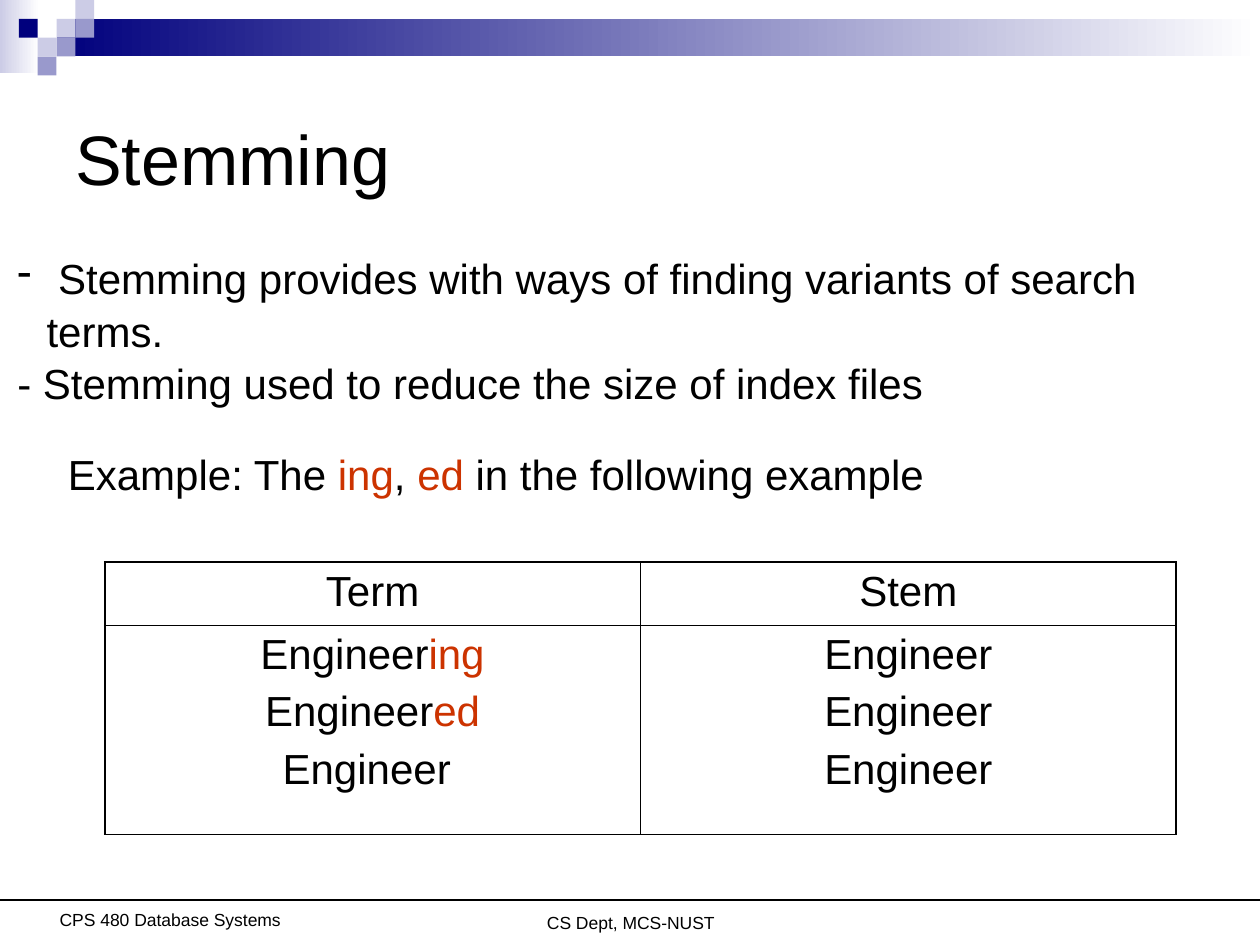
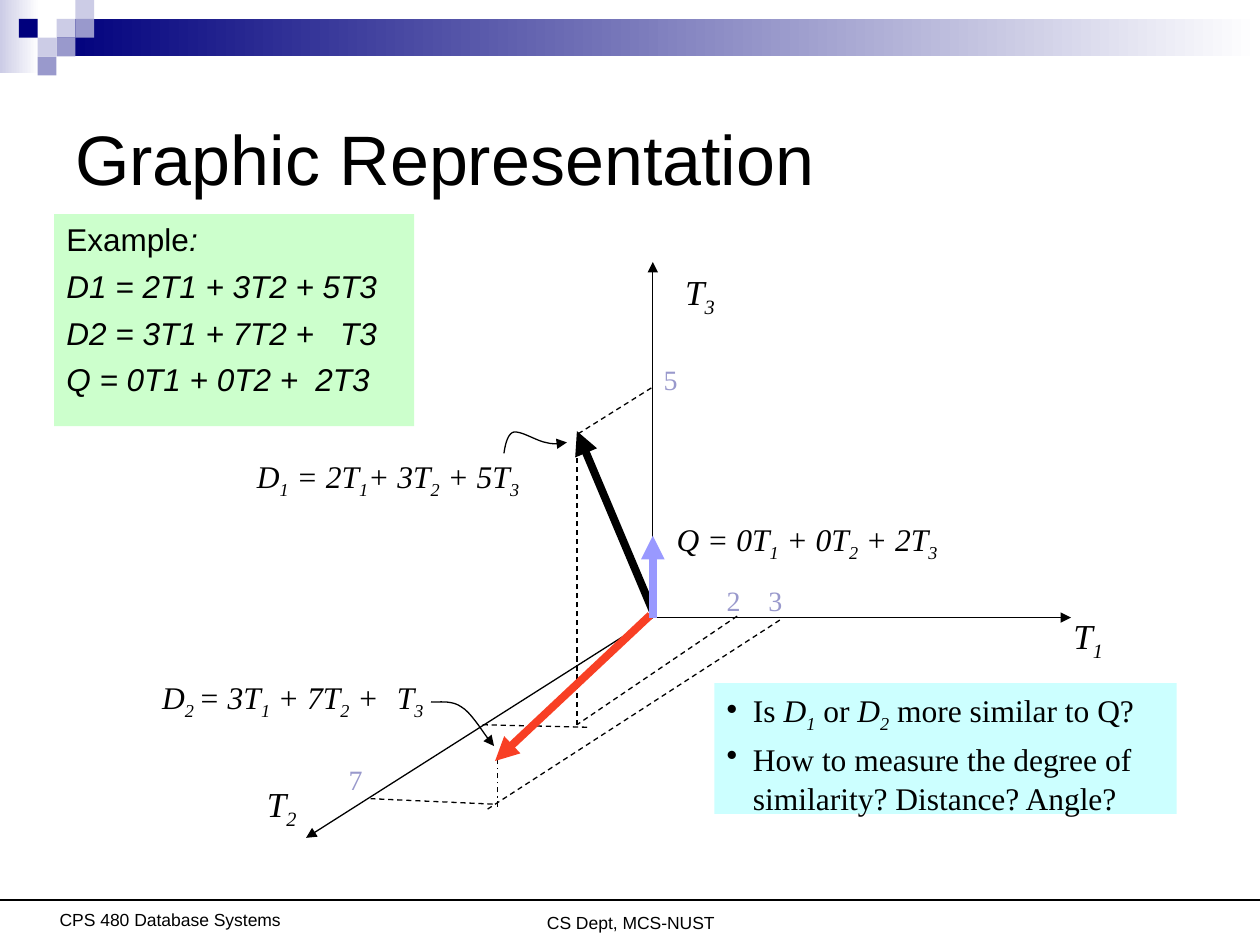
from dataclasses import dataclass

from lxml.etree import SubElement
from pptx import Presentation
from pptx.dml.color import RGBColor
from pptx.enum.dml import MSO_LINE_DASH_STYLE as Dash
from pptx.enum.shapes import MSO_CONNECTOR, MSO_SHAPE
from pptx.enum.text import MSO_ANCHOR as Anchor, PP_ALIGN as Align
from pptx.oxml.ns import qn
from pptx.util import Cm, Pt


@dataclass(frozen=True)
class Theme:
    black: str = "000000"
    white: str = "FFFFFF"
    navy: str = "00007D"
    lilac: str = "9999CC"
    pale: str = "CCCCE6"
    accent: str = "CC3300"
    red: str = "F83F24"
    violet: str = "9999FF"
    mint: str = "CCFFCC"
    aqua: str = "CCFFFF"
    sans: str = "Arial"
    serif: str = "Times New Roman"
    title: int = 40
    body: int = 24
    axis: int = 20
    formula: int = 18
    tick: int = 16
    footer: int = 10
    thin: float = 0.75
    thick: float = 4.5
    outer_border: float = 1.08
    inner_border: float = 0.45


THEME = Theme()
WIDTH, HEIGHT = 25.4, 19.05
TILE = 0.38
TILES = [(3, 1, THEME.pale), (4, 0, THEME.pale), (4, 1, THEME.lilac),
         (2, 2, THEME.pale), (1, 1, THEME.navy), (3, 2, THEME.lilac),
         (2, 3, THEME.lilac)]
MARKS = "_*^"


def rgb(color):
    return RGBColor.from_string(color)


def marked_runs(text):
    """Split text at toggles: _subscript_, *italic*, ^accent^."""
    active, chunk = set(), ""
    for char in text:
        if char not in MARKS:
            chunk += char
            continue
        if chunk:
            yield chunk, frozenset(active)
        chunk = ""
        active ^= {char}
    if chunk:
        yield chunk, frozenset(active)


def bezier(start, *curves, steps=10):
    """Points along a chain of cubic curves, each (control, control, end)."""
    points = [start]
    for a, b, end in curves:
        origin = points[-1]
        for step in range(1, steps + 1):
            t = step / steps
            weights = ((1 - t) ** 3, 3 * t * (1 - t) ** 2, 3 * t * t * (1 - t), t ** 3)
            points.append(tuple(sum(w * p[i] for w, p in zip(weights, (origin, a, b, end)))
                                for i in (0, 1)))
    return points


class Deck:
    def __init__(self, theme):
        self.theme = theme
        self.prs = Presentation()
        self.prs.slide_width, self.prs.slide_height = Cm(WIDTH), Cm(HEIGHT)

    def new_slide(self, title):
        theme = self.theme
        self.slide = self.prs.slides.add_slide(self.prs.slide_layouts[6])
        self.rect(0, 0, 0.79, 1.47, theme.pale, theme.white)
        self.rect(3 * TILE, TILE, WIDTH - 3 * TILE, 2 * TILE, theme.navy, theme.white)
        for column, row, color in TILES:
            self.rect(column * TILE, row * TILE, TILE, TILE, color)
        footer = dict(size=theme.footer, align=Align.CENTER)
        self.text(7.42, 18.26, 10.59, 0.66, ["CS Dept, MCS-NUST"], **footer)
        self.text(0.89, 18.21, 5.08, 0.66, ["CPS 480 Database Systems"], **footer)
        self.line((0, 18.14), (WIDTH, 18.14))
        self.text(1.27, 1.27, 22.86, 3.81, [title], anchor=Anchor.MIDDLE, size=theme.title)

    def rect(self, x, y, w, h, color, fade_to=None):
        shape = self.slide.shapes.add_shape(MSO_SHAPE.RECTANGLE, Cm(x), Cm(y), Cm(w), Cm(h))
        shape.shadow.inherit = False
        shape.line.fill.background()
        if fade_to:
            shape.fill.gradient()
            shape.fill.gradient_angle = 0
            for stop, stop_color in zip(shape.fill.gradient_stops, (color, fade_to)):
                stop.color.rgb = rgb(stop_color)
        else:
            shape.fill.solid()
            shape.fill.fore_color.rgb = rgb(color)
        return shape

    def text(self, x, y, w, h, lines, anchor=Anchor.TOP, **style):
        box = self.slide.shapes.add_textbox(Cm(x), Cm(y), Cm(w), Cm(h))
        self.fill_text(box.text_frame, lines, anchor, **style)

    def panel(self, x, y, w, h, color, lines, **style):
        self.fill_text(self.rect(x, y, w, h, color).text_frame, lines, **style)

    def fill_text(self, frame, lines, anchor=Anchor.TOP, size=None, font=None, color=None,
                  italic=False, align=Align.LEFT, gap=0, spacing=1.0, bullets=(), indent=0,
                  tabs=()):
        """Fill a frame; bullets and tabs hold one entry per line, None for none."""
        theme = self.theme
        frame.word_wrap = True
        frame.vertical_anchor = anchor
        for index, line in enumerate(lines):
            paragraph = frame.paragraphs[0] if index == 0 else frame.add_paragraph()
            layout = dict(alignment=align, line_spacing=spacing,
                          space_before=Pt(gap if index else 0))
            for name, value in layout.items():
                setattr(paragraph, name, value)
            props = paragraph._p.get_or_add_pPr()
            if index < len(bullets) and bullets[index]:
                props.set("marL", str(Cm(indent)))
                props.set("indent", str(-Cm(indent)))
                SubElement(props, qn("a:buChar"), char=bullets[index])
            if index < len(tabs) and tabs[index]:
                stops = SubElement(props, qn("a:tabLst"))
                SubElement(stops, qn("a:tab"), pos=str(Cm(tabs[index])), algn="l")
            for chunk, marks in marked_runs(line):
                run = paragraph.add_run()
                run.text = chunk
                look = dict(name=font or theme.sans, size=Pt(size or theme.body),
                            italic=italic or "*" in marks)
                for name, value in look.items():
                    setattr(run.font, name, value)
                run.font.color.rgb = rgb(theme.accent if "^" in marks else color or theme.black)
                if "_" in marks:
                    run._r.get_or_add_rPr().set("baseline", "-25000")

    def stroke(self, line, color, width, dash, arrow):
        line.color.rgb = rgb(color or self.theme.black)
        line.width = Pt(width or self.theme.thin)
        if dash:
            line.dash_style = dash
        if arrow:
            SubElement(line._get_or_add_ln(), qn("a:tailEnd"), type="triangle")

    def line(self, start, end, color=None, width=None, dash=None, arrow=False):
        connector = self.slide.shapes.add_connector(
            MSO_CONNECTOR.STRAIGHT, *(Cm(v) for v in (*start, *end)))
        self.stroke(connector.line, color, width, dash, arrow)
        SubElement(connector._element.spPr, qn("a:effectLst"))

    def curved_arrow(self, points):
        first, *rest = [(Cm(x), Cm(y)) for x, y in points]
        builder = self.slide.shapes.build_freeform(*first)
        builder.add_line_segments(rest, close=False)
        curve = builder.convert_to_shape()
        curve.shadow.inherit = False
        curve.fill.background()
        self.stroke(curve.line, None, None, None, True)

    def table(self, x, y, column_widths, row_heights, cells):
        table = self.slide.shapes.add_table(
            len(row_heights), len(column_widths), Cm(x), Cm(y),
            Cm(sum(column_widths)), Cm(sum(row_heights))).table
        table.first_row = table.horz_banding = False
        for column, width in zip(table.columns, column_widths):
            column.width = Cm(width)
        last_row, last_column = len(row_heights) - 1, len(column_widths) - 1
        for r, height in enumerate(row_heights):
            table.rows[r].height = Cm(height)
            for c, lines in enumerate(cells[r]):
                cell = table.cell(r, c)
                self.fill_text(cell.text_frame, lines, align=Align.CENTER, gap=6)
                self.borders(cell, dict(lnL=c == 0, lnR=c == last_column,
                                        lnT=r == 0, lnB=r == last_row))
                cell.fill.background()

    def borders(self, cell, sides):
        """Draw each side of a cell, heavier where the side is on the outside."""
        theme = self.theme
        props = cell._tc.get_or_add_tcPr()
        for side, outer in sides.items():
            width = Pt(theme.outer_border if outer else theme.inner_border)
            edge = SubElement(props, qn(f"a:{side}"), w=str(width))
            fill = SubElement(edge, qn("a:solidFill"))
            SubElement(fill, qn("a:srgbClr"), val=theme.black)


def stemming(deck):
    deck.new_slide("Stemming")
    deck.table(2.11, 11.33, [10.8, 10.8], [1.27, 4.22], [
        [["Term"], ["Stem"]],
        [["Engineer^ing^", "Engineer^ed^", "Engineer "], ["Engineer"] * 3],
    ])
    deck.text(0.1, 4.93, 25.2, 3.2, [
        " Stemming provides with ways of finding variants of search terms.",
        "- Stemming used to reduce the size of index files",
    ], bullets=["-"], indent=0.59, spacing=1.04)
    deck.text(1.12, 8.92, 18.5, 1.27,
              ["Example: The ^ing^, ^ed^ in the following example"])


def graphic_representation(deck):
    theme = deck.theme
    deck.new_slide("Graphic Representation")
    deck.panel(1.09, 4.32, 7.26, 4.27, theme.mint, [
        "Example*:*", "*D1 = 2T1 + 3T2 + 5T3*",
        "*D2 = 3T1 + 7T2 +\tT3*", "*Q = 0T1 + 0T2 +\t2T3*",
    ], size=theme.formula, gap=5, tabs=[None, None, 5.52, 5.02])

    origin = (13.16, 12.45)
    for axis_end in [(21.59, 12.45), (6.17, 16.89), (13.16, 5.28)]:
        deck.line(origin, axis_end, arrow=True)

    d1_foot = (11.63, 14.61)
    projections = [
        ((14.86, 12.42), d1_foot), ((9.73, 14.61), (11.84, 14.66)),
        (d1_foot, (11.63, 9.09)), ((15.72, 12.5), (9.83, 16.31)),
        ((9.93, 16.21), (7.47, 16.1)), ((13.13, 7.82), (11.63, 8.76)),
    ]
    for start, end in projections:
        deck.line(start, end, dash=Dash.DASH)
    deck.line((10.03, 16.26), (10.03, 15.24), dash=Dash.DASH_DOT)

    vectors = [((13.16, 12.32), (11.63, 8.69), theme.black),
               ((13.11, 12.4), (9.98, 15.34), theme.red),
               (origin, (13.16, 10.8), theme.violet)]
    for start, tip, color in vectors:
        deck.line(start, tip, color, theme.thick, arrow=True)

    for x, y, axis in [(13.56, 5.33, "T_3_"), (21.39, 12.27, "T_1_"), (5.13, 15.65, "T_2_")]:
        deck.text(x, y, 1.4, 1.22, [axis], size=theme.axis, font=theme.serif, italic=True)

    formulas = [(4.93, 9.09, "D_1_ = 2T_1_+ 3T_2_ + 5T_3_", None),
                (3.02, 13.54, "D_2 _= 3T_1_ + 7T_2_ +\tT_3_", 4.73),
                (13.39, 10.36, "Q = 0T_1_ + 0T_2_ + 2T_3_", None)]
    for x, y, formula, tab in formulas:
        deck.text(x, y, 6.1, 1.12, [formula], size=theme.formula, font=theme.serif,
                  italic=True, tabs=[tab])

    deck.curved_arrow(bezier(
        (10.16, 9.14),
        ((10.19, 8.94), (10.24, 8.74), (10.36, 8.71)),
        ((10.52, 8.69), (10.82, 8.89), (11, 8.92)),
        ((11.18, 8.97), (11.3, 8.94), (11.43, 8.92))))
    deck.curved_arrow(bezier(
        (8.69, 14.15),
        ((8.79, 14.17), (9.09, 14.1), (9.3, 14.25)),
        ((9.53, 14.38), (9.8, 14.88), (9.96, 15.04))))

    for x, y, tick in [(6.78, 15.24, "7"), (15.24, 11.63, "3"),
                       (14.4, 11.63, "2"), (13.13, 7.19, "5")]:
        deck.text(x, y, 0.9, 0.94, [tick], size=theme.tick, font=theme.serif,
                  color=theme.lilac)

    deck.panel(14.4, 13.77, 9.32, 2.64, theme.aqua, [
        "Is *D_1_* or *D_2_* more similar to Q?",
        "How to measure the degree of similarity? Distance? Angle?",
    ], size=theme.formula, font=theme.serif, gap=2, spacing=1.05,
        bullets=["•", "•"], indent=0.53)


def main():
    deck = Deck(THEME)
    stemming(deck)
    graphic_representation(deck)
    deck.prs.save("out.pptx")


if __name__ == "__main__":
    main()
